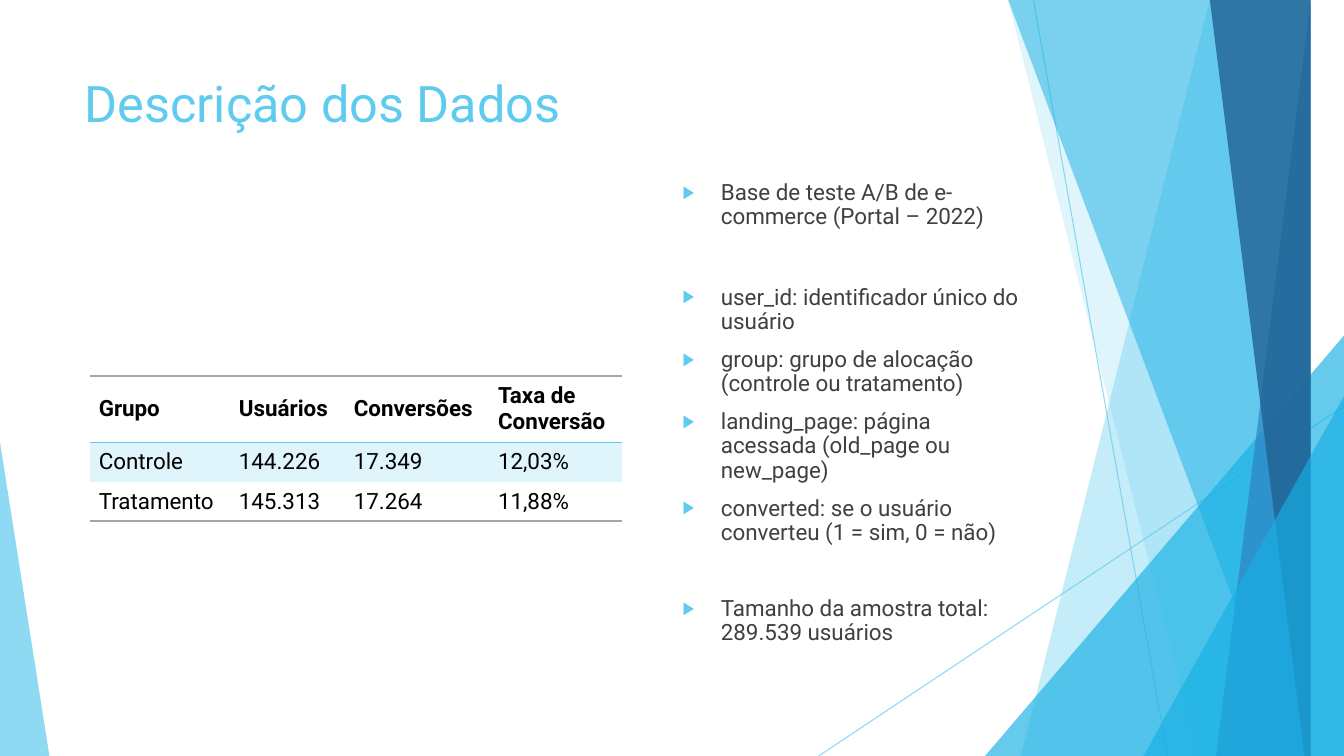
import pptx
import pptx.util
import pptx.dml.color
import pptx.enum.shapes
import pptx.enum.text
import pptx.oxml
import pptx.oxml.ns
from dataclasses import dataclass
from lxml import etree

Inches = pptx.util.Inches
Pt = pptx.util.Pt
qn = pptx.oxml.ns.qn


@dataclass(frozen=True)
class Theme:
    font: str = "Roboto"
    sky: str = "5FCBEF"
    cyan: str = "17B0E4"
    blue: str = "2E83C3"
    navy: str = "226292"
    text: str = "404040"
    black: str = "000000"
    rule: str = "A6A6A6"
    head: int = 36
    body: int = 16


THEME = Theme()

ROWS = [
    ("Grupo", "Usuários", "Conversões", "Taxa de Conversão"),
    ("Controle", "144.226", "17.349", "12,03%"),
    ("Tratamento", "145.313", "17.264", "11,88%"),
]
COLS = [1.39, 1.14, 1.43, 1.32]
HIGHS = [0.66, 0.39, 0.39]

POINTS = [
    ("Base de teste A/B de e-commerce (Portal – 2022)", 10),
    ("user_id: identificador único do usuário", 40),
    ("group: grupo de alocação (controle ou tratamento)", 10),
    ("landing_page: página acessada (old_page ou new_page)", 10),
    ("converted: se o usuário converteu (1 = sim, 0 = não)", 10),
    ("Tamanho da amostra total: 289.539 usuários", 37),
]


def color(name):
    return pptx.dml.color.RGBColor.from_string(name)


def paint(fill, tint, alpha, root):
    fill.solid()
    fill.fore_color.rgb = color(tint)
    node = root.find(".//" + qn("a:solidFill") + "/" + qn("a:srgbClr"))
    etree.SubElement(node, qn("a:alpha"), val=str(alpha * 1000))


def style(para, size, tint, bold=False):
    font = para.font
    font.name = THEME.font
    font.size = Pt(size)
    font.bold = bold
    font.color.rgb = color(tint)


def finish(shape, tint, alpha):
    shape.shadow.inherit = False
    shape.line.fill.background()
    paint(shape.fill, tint, alpha, shape._element.spPr)


def ray(slide, start, end):
    kind = pptx.enum.shapes.MSO_CONNECTOR.STRAIGHT
    line = slide.shapes.add_connector(kind, *map(Inches, start + end))
    line.line.width = Pt(0.75)
    props = line._element.spPr
    paint(line.line.fill, THEME.sky, 70, props)
    etree.SubElement(props, qn("a:effectLst"))


def band(slide, box, top, low, tint, alpha):
    left, y, wide, high = box
    right, base = left + wide, y + high
    build = slide.shapes.build_freeform(top, y, scale=Inches(1))
    build.add_line_segments([(right, y), (right, base), (low, base)], close=True)
    finish(build.convert_to_shape(), tint, alpha)


def wedge(slide, box, tip, tint, alpha):
    kind = pptx.enum.shapes.MSO_SHAPE.ISOSCELES_TRIANGLE
    shape = slide.shapes.add_shape(kind, *map(Inches, box))
    shape.adjustments[0] = tip
    finish(shape, tint, alpha)


def facets(slide, box):
    left, top, wide, high = box
    right, base = left + wide, top + high

    def corner(width, height):
        place = (right - width, base - height, width, height)
        wedge(slide, place, 1, THEME.cyan, 66)

    ray(slide, (right - 3.08, top), (right - 1.75, base))
    ray(slide, (right, top + 4.03), (right - 5.21, base))
    band(slide, box, right - 1.05, right - 3.29, THEME.sky, 36)
    band(slide, box, right - 2.83, right - 1.5, THEME.sky, 20)
    corner(3.56, 4.17)
    band(slide, box, right - 3.12, right - 0.42, THEME.cyan, 50)
    band(slide, box, right - 0.3, right - 1.41, THEME.blue, 70)
    band(slide, box, right - 1.37, right - 0.15, THEME.navy, 80)
    corner(1.99, 3.57)
    wedge(slide, (left, base - 3.11, 0.49, 3.11), 0, THEME.sky, 70)


def settle(shape, box):
    shape.left, shape.top, shape.width, shape.height = map(Inches, box)
    shape._element.getparent().append(shape._element)
    frame = shape.text_frame
    frame.word_wrap = True
    frame.auto_size = pptx.enum.text.MSO_AUTO_SIZE.NONE
    frame.vertical_anchor = pptx.enum.text.MSO_ANCHOR.TOP
    return frame


def title(slide, box):
    frame = settle(slide.shapes.title, box)
    frame.text = "Descrição dos Dados"
    para = frame.paragraphs[0]
    para.alignment = pptx.enum.text.PP_ALIGN.LEFT
    style(para, THEME.head, THEME.sky)


def bullet(para):
    props = para._p.get_or_add_pPr()
    props.set("marL", str(Inches(0.38)))
    props.set("indent", str(Inches(-0.38)))
    tint = etree.SubElement(props, qn("a:buClr"))
    etree.SubElement(tint, qn("a:srgbClr"), val=THEME.sky)
    etree.SubElement(props, qn("a:buSzPct"), val="80000")
    etree.SubElement(props, qn("a:buChar"), char="▶")


def notes(slide, box):
    frame = settle(slide.placeholders[1], box)
    frame.text = "\n".join(text for text, gap in POINTS)
    for para, (text, gap) in zip(frame.paragraphs, POINTS):
        para.line_spacing = 0.9
        para.space_before = Pt(gap)
        bullet(para)
        style(para, THEME.body, THEME.text)


def edges(cell, tops, lows):
    props = cell._tc.get_or_add_tcPr()
    for side, tint in (("L", None), ("R", None), ("T", tops), ("B", lows)):
        line = etree.SubElement(props, qn("a:ln" + side), w=str(Pt(1)))
        fill = etree.SubElement(line, qn("a:solidFill" if tint else "a:noFill"))
        if tint:
            etree.SubElement(fill, qn("a:srgbClr"), val=tint)


def grid(slide, box):
    frame = slide.shapes.add_table(len(ROWS), len(COLS), *map(Inches, box))
    table = frame.table
    table.first_row = table.horz_banding = False
    for col, wide in zip(table.columns, COLS):
        col.width = Inches(wide)
    rules = [THEME.rule, THEME.sky, None, THEME.rule]
    for r, row in enumerate(ROWS):
        table.rows[r].height = Inches(HIGHS[r])
        for c, text in enumerate(row):
            cell = table.cell(r, c)
            cell.text = text
            cell.vertical_anchor = pptx.enum.text.MSO_ANCHOR.MIDDLE
            cell.margin_left = cell.margin_right = Inches(0.09)
            cell.margin_top = cell.margin_bottom = Inches(0.05)
            style(cell.text_frame.paragraphs[0], THEME.body, THEME.black, r == 0)
            edges(cell, rules[r], rules[r + 1])
            if r == 1:
                props = cell._tc.tcPr
                cell.fill.solid()
                cell.fill.fore_color.rgb = color(THEME.sky)
                tint = props.find(qn("a:solidFill") + "/" + qn("a:srgbClr"))
                etree.SubElement(tint, qn("a:alpha"), val="20000")
            else:
                cell.fill.background()


def main():
    deck = pptx.Presentation()
    deck.slide_width, deck.slide_height = Inches(13.33), Inches(7.5)
    slide = deck.slides.add_slide(deck.slide_layouts[1])
    facets(slide, (0, 0, 13.33, 7.5))
    title(slide, (0.74, 0.67, 9.4, 1.44))
    notes(slide, (6.67, 1.75, 3.55, 4.86))
    grid(slide, (0.89, 3.73, 5.28, 1.44))
    deck.save("out.pptx")


if __name__ == "__main__":
    main()
